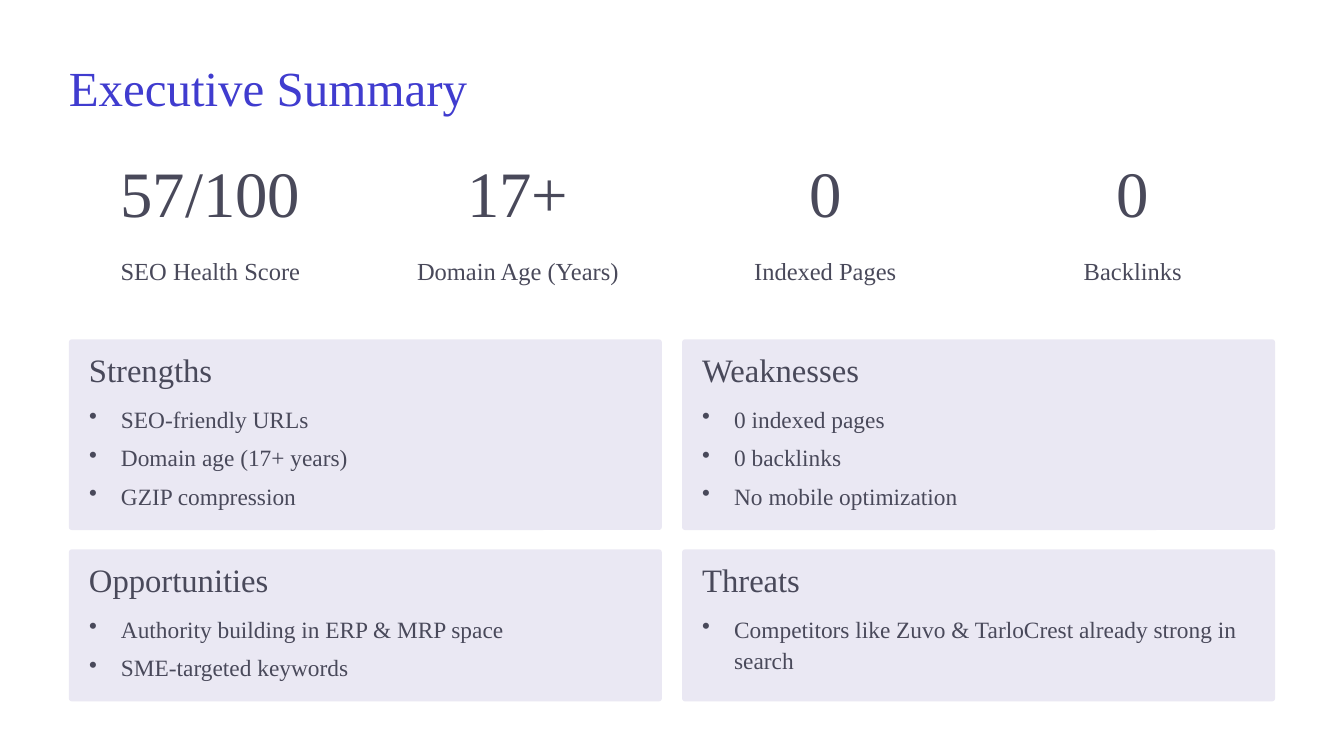
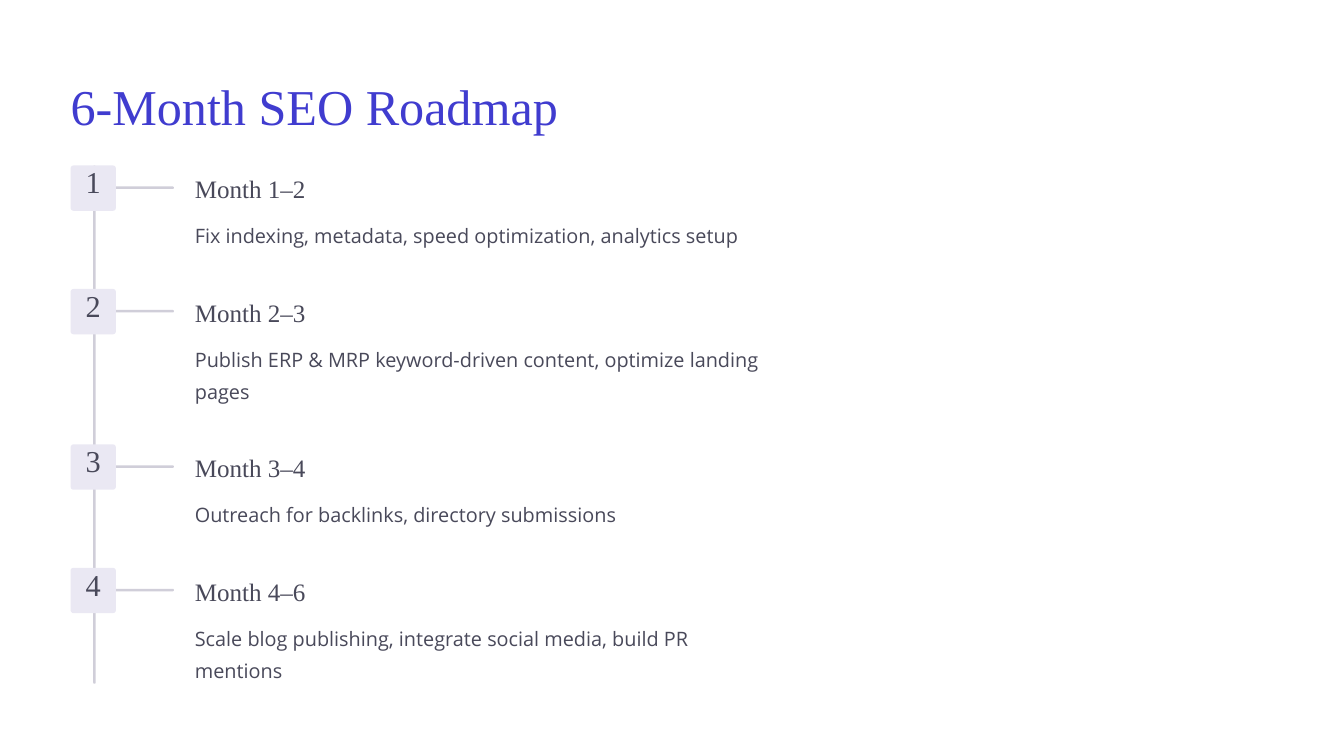
"""Build an SEO summary slide and a six-month roadmap slide."""
from dataclasses import dataclass

from lxml.etree import SubElement
from pptx import Presentation
from pptx.dml.color import RGBColor as RGB
from pptx.enum.shapes import MSO_SHAPE as Form
from pptx.enum.text import PP_ALIGN as Align
from pptx.oxml.ns import qn
from pptx.util import Inches, Pt


@dataclass(frozen=True)
class Theme:
    title: RGB = RGB.from_string("403CCF")
    ink: RGB = RGB.from_string("49495A")
    card: RGB = RGB.from_string("EAE8F3")
    rail: RGB = RGB.from_string("D0CED9")
    serif: str = "Times New Roman"
    sans: str = "Open Sans"
    figure: tuple = (55.5, 55.5)
    label: tuple = (21, 26)
    head: tuple = (28, 26)
    bullet: tuple = (20, 27)
    number: tuple = (26, 26)
    month: tuple = (21.5, 27)
    detail: tuple = (17, 27.5)


theme = Theme()


def add_text(slide, box, lines, style, color=theme.ink, font=theme.serif,
             align=Align.LEFT, bullet=False):
    frame = slide.shapes.add_textbox(*map(Inches, box)).text_frame
    frame.word_wrap = True
    frame.margin_left = frame.margin_right = 0
    frame.margin_top = frame.margin_bottom = 0
    frame.text = "\n".join(lines)
    size, lead = style
    for para in frame.paragraphs:
        para.alignment = align
        para.line_spacing = Pt(lead)
        run = para.runs[0].font
        run.size, run.name, run.color.rgb = Pt(size), font, color
        if bullet:
            para.space_after = Pt(6)
            props = para._p.get_or_add_pPr()
            props.set("marL", str(Inches(0.38)))
            props.set("indent", str(-Inches(0.38)))
            SubElement(props, qn("a:buChar")).set("char", "•")


def add_block(slide, box, color):
    block = slide.shapes.add_shape(Form.ROUNDED_RECTANGLE, *map(Inches, box))
    block.adjustments[0] = min(0.5, 0.036 / min(box[2:]))
    block.fill.solid()
    block.fill.fore_color.rgb = color
    block.line.fill.background()
    block.shadow.inherit = False


deck = Presentation()
deck.slide_width, deck.slide_height = Inches(16), Inches(9)
blank = deck.slide_layouts[6]
titles = [
    ("Executive Summary", (0.82, 0.65, 6.1, 0.73), (42, 52.5)),
    ("6-Month SEO Roadmap", (0.84, 0.86, 7.48, 0.75), (43, 54)),
]
slides = []
for title, box, style in titles:
    slide = deck.slides.add_slide(blank)
    add_text(slide, box, [title], style, theme.title)
    slides.append(slide)
summary, roadmap = slides

stats = [
    ("57/100", "SEO Health Score"),
    ("17+", "Domain Age (Years)"),
    ("0", "Indexed Pages"),
    ("0", "Backlinks"),
]
for col, (figure, label) in enumerate(stats):
    left = 0.82 + col * 3.66
    add_text(summary, (left, 1.97, 3.37, 0.78), [figure], theme.figure,
             align=Align.CENTER)
    add_text(summary, (left, 3.04, 3.37, 0.37), [label], theme.label,
             align=Align.CENTER)

cards = [
    ("Strengths", ["SEO-friendly URLs", "Domain age (17+ years)",
                   "GZIP compression"]),
    ("Weaknesses", ["0 indexed pages", "0 backlinks",
                    "No mobile optimization"]),
    ("Opportunities", ["Authority building in ERP & MRP space",
                       "SME-targeted keywords"]),
    ("Threats", ["Competitors like Zuvo & TarloCrest already strong in search"]),
]
rows = [(4.04, 2.27), (6.54, 1.81)]
for index, (head, points) in enumerate(cards):
    row, col = divmod(index, 2)
    top, height = rows[row]
    left = 0.82 + col * 7.3
    add_block(summary, (left, top, 7.06, height), theme.card)
    add_text(summary, (left + 0.24, top + 0.23, 2.94, 0.37), [head], theme.head)
    add_text(summary, (left + 0.24, top + 0.74, 6.59, height - 0.9), points,
             theme.bullet, bullet=True)

steps = [
    ("Month 1–2", "Fix indexing, metadata, speed optimization, analytics setup", 1),
    ("Month 2–3",
     "Publish ERP & MRP keyword-driven content, optimize landing pages", 2),
    ("Month 3–4", "Outreach for backlinks, directory submissions", 1),
    ("Month 4–6",
     "Scale blog publishing, integrate social media, build PR mentions", 2),
]
add_block(roadmap, (1.11, 1.97, 0.03, 6.17), theme.rail)
top = 1.97
for number, (month, detail, lines) in enumerate(steps, 1):
    add_block(roadmap, (1.35, top + 0.25, 0.72, 0.03), theme.rail)
    add_block(roadmap, (0.84, top, 0.54, 0.54), theme.card)
    add_text(roadmap, (0.93, top + 0.05, 0.36, 0.45), [str(number)],
             theme.number, align=Align.CENTER)
    add_text(roadmap, (2.32, top + 0.08, 3.01, 0.38), [month], theme.month)
    add_text(roadmap, (2.32, top + 0.6, 6.84, 0.38 * lines), [detail],
             theme.detail, font=theme.sans)
    top += 1.09 + 0.38 * lines

deck.save("out.pptx")
